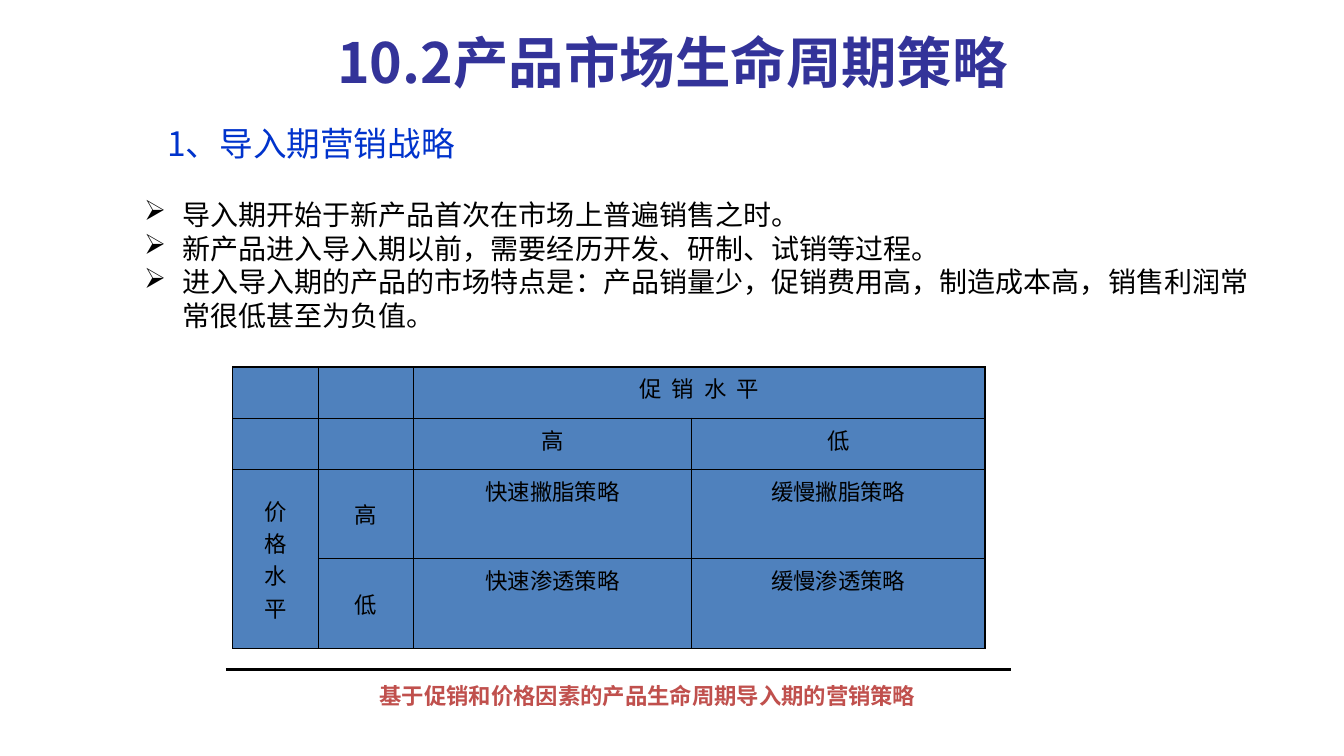
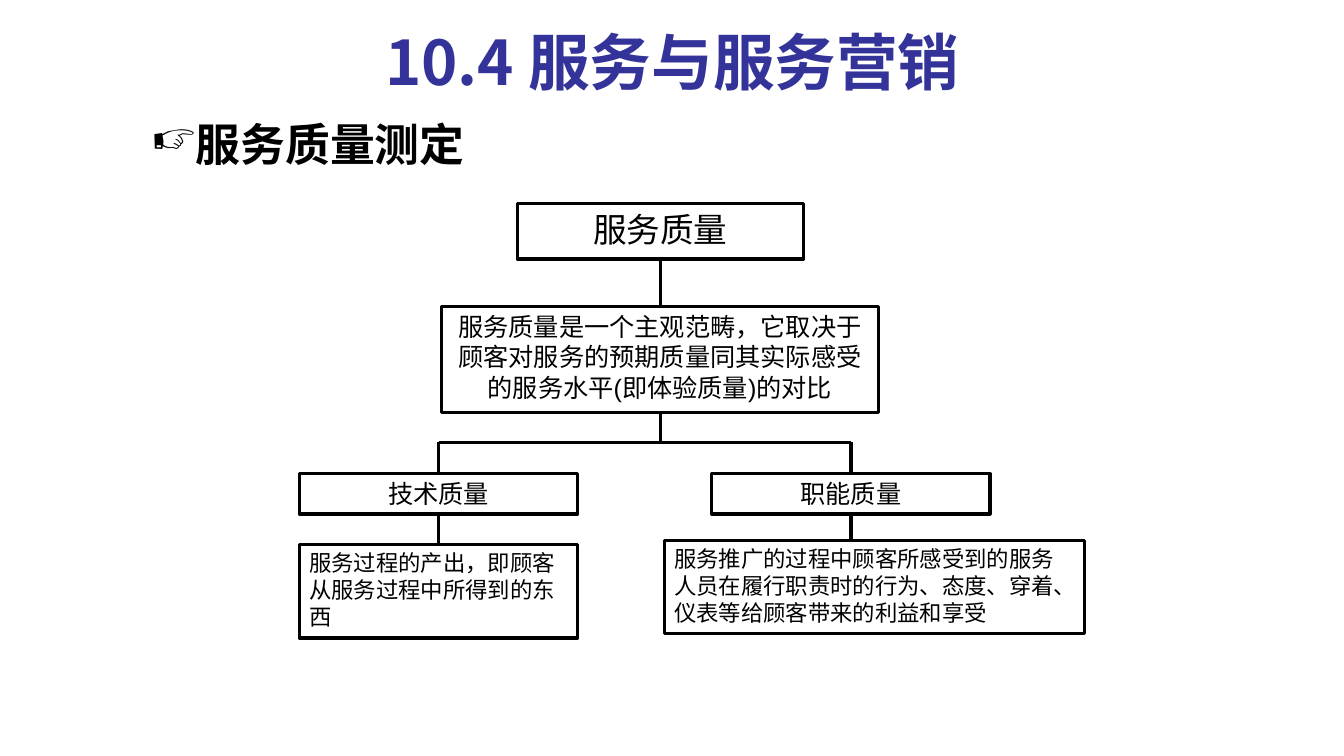
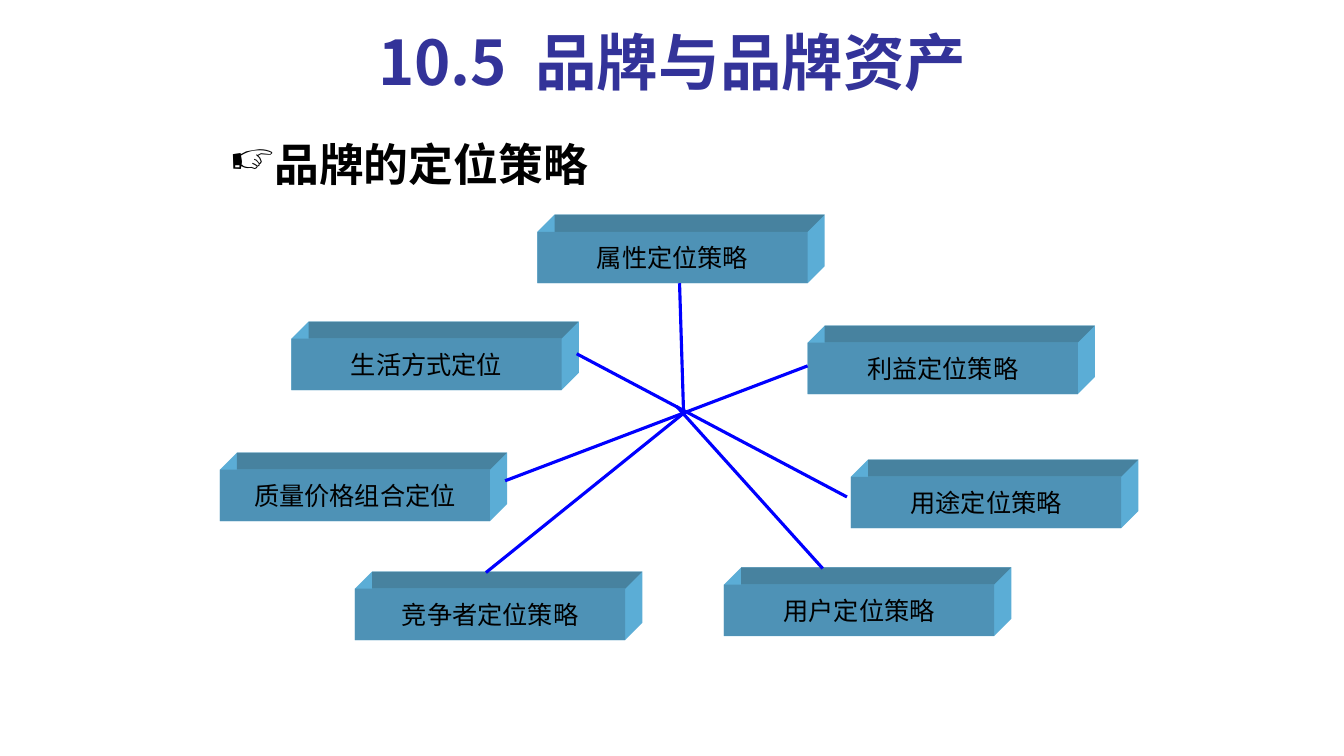
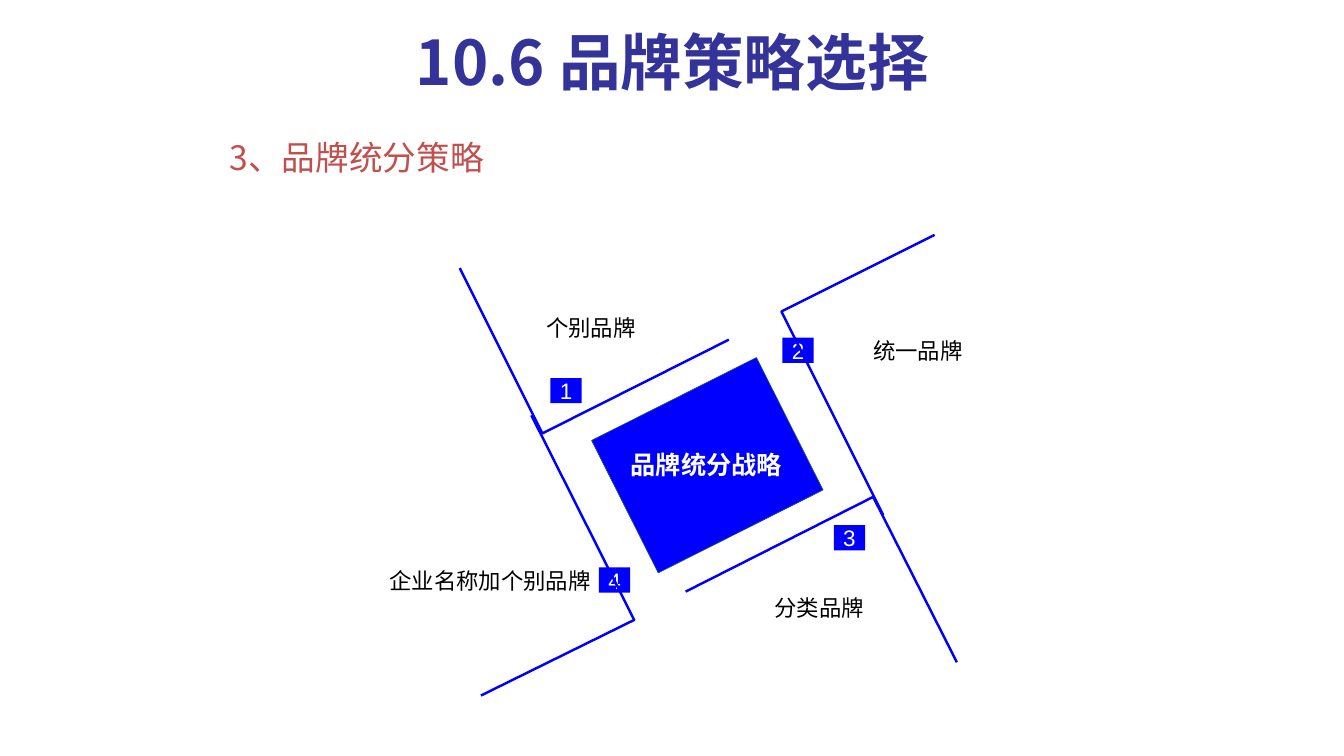
from dataclasses import dataclass

from lxml.etree import SubElement
from pptx import Presentation
from pptx.dml.color import RGBColor
from pptx.enum.shapes import MSO_CONNECTOR as Connector, MSO_SHAPE as Preset
from pptx.enum.text import MSO_ANCHOR as Anchor, PP_ALIGN as Align
from pptx.oxml.ns import qn
from pptx.util import Pt

PX = 9144  # EMU per px, 100 px to the inch


@dataclass(frozen=True)
class Theme:
    title: str = "333399"
    ink: str = "000000"
    white: str = "FFFFFF"
    heading_blue: str = "0033CC"
    accent: str = "C0504D"
    cell: str = "4F81BD"
    blue: str = "0000FF"
    square_edge: str = "1F497D"
    block_front: str = "4E92B6"
    block_top: str = "47829F"
    block_side: str = "5BADD6"
    title_font: str = "Noto Sans CJK JP"
    body_font: str = "Noto Sans CJK SC"
    latin_font: str = "Arial"
    title_size: float = 44
    long_title_size: float = 39.6
    section_size: int = 32
    heading_size: int = 24
    body_size: int = 20
    box_size: int = 18
    small_size: int = 16


THEME = Theme()


def rgb(code):
    return RGBColor.from_string(code)


def px(*lengths):
    return [length * PX for length in lengths]


def write(frame, text, *, size, color=THEME.ink, font=THEME.body_font, bold=False,
          align=Align.CENTER, anchor=Anchor.TOP, wrap=True, inset=None,
          leading=1.2, tracking=0, bullet=None, hanging=38):
    """Fill a frame with one paragraph, or one for each item of a list."""
    frame.word_wrap = wrap
    frame.vertical_anchor = anchor
    if inset is not None:
        frame.margin_left = frame.margin_right = inset * PX
        frame.margin_top = frame.margin_bottom = inset * PX
    lines = [text] if isinstance(text, str) else text
    for number, line in enumerate(lines):
        paragraph = frame.add_paragraph() if number else frame.paragraphs[0]
        paragraph.alignment = align
        if leading:
            paragraph.line_spacing = Pt(round(size * leading, 1))
        if bullet:
            props = paragraph._p.get_or_add_pPr()
            props.set("marL", str(hanging * PX))
            props.set("indent", str(-hanging * PX))
            SubElement(props, qn("a:buChar")).set("char", bullet)
        run = paragraph.add_run()
        run.text = line
        run.font.size = Pt(size)
        run.font.bold = bold
        run.font.color.rgb = rgb(color)
        run.font.name = font
        props = run._r.get_or_add_rPr()
        east_asian = THEME.body_font if font == THEME.latin_font else font
        SubElement(props, qn("a:ea")).set("typeface", east_asian)
        if tracking:
            props.set("spc", str(round(tracking * 100)))


def paint(shape, fill=None, line=None, weight=1):
    shape.shadow.inherit = False
    if fill:
        shape.fill.solid()
        shape.fill.fore_color.rgb = rgb(fill)
    else:
        shape.fill.background()
    if line:
        shape.line.color.rgb = rgb(line)
        shape.line.width = Pt(weight)
    else:
        shape.line.fill.background()


def border(cell, color, weight):
    props = cell._tc.get_or_add_tcPr()
    for position, side in enumerate(("lnL", "lnR", "lnT", "lnB")):
        edge = props.makeelement(qn(f"a:{side}"), {"w": str(Pt(weight))})
        SubElement(SubElement(edge, qn("a:solidFill")), qn("a:srgbClr")).set("val", color)
        props.insert(position, edge)


class Deck:
    """Holds the presentation, the theme and the slide being drawn."""

    def __init__(self, theme):
        self.theme = theme
        self.show = Presentation()
        self.show.slide_width, self.show.slide_height = px(1333, 750)
        self.slide = None

    def new_slide(self, title, size=None):
        self.slide = self.show.slides.add_slide(self.show.slide_layouts[5])
        holder = self.slide.shapes.title
        holder.left, holder.top, holder.width, holder.height = px(67, 13, 1200, 95)
        write(holder.text_frame, title, size=size or self.theme.title_size,
              color=self.theme.title, font=self.theme.title_font, bold=True,
              anchor=Anchor.MIDDLE, leading=None)

    def text(self, at, content, **style):
        holder = self.slide.shapes.add_textbox(*px(*at))
        write(holder.text_frame, content, **style)

    def heading(self, left, top, content, color):
        self.text((left, top, 875, 55), content, size=self.theme.heading_size,
                  color=color, align=Align.LEFT)

    def section(self, left, top, content):
        self.text((left, top, 875, 63), content, size=self.theme.section_size,
                  bold=True, align=Align.LEFT, bullet="☞")

    def box(self, at, content=None, fill=None, line=None, weight=1, rotation=0, **style):
        shape = self.slide.shapes.add_shape(Preset.RECTANGLE, *px(*at))
        paint(shape, fill, line, weight)
        shape.rotation = rotation
        if content:
            write(shape.text_frame, content, **style)

    def line(self, start, end, color, weight=2.25):
        link = self.slide.shapes.add_connector(Connector.STRAIGHT, *px(*start, *end))
        link.line.color.rgb = rgb(color)
        link.line.width = Pt(weight)
        SubElement(link._element.spPr, qn("a:effectLst"))

    def outline(self, points, closed=False, **look):
        builder = self.slide.shapes.build_freeform(*points[0], scale=PX)
        builder.add_line_segments(points[1:], close=closed)
        paint(builder.convert_to_shape(), **look)

    def block(self, left, top, content, width=268, height=51, depth=17):
        """Draw a labelled bar with depth towards the upper right."""
        theme = self.theme
        right, bottom = left + width, top + height
        back_left, back_right, back_top = left + depth, right + depth, top - depth
        self.outline([(left, top), (back_left, back_top), (back_right, back_top),
                      (back_right, bottom - depth), (right, bottom), (left, bottom)],
                     closed=True, fill=theme.block_side)
        self.outline([(back_left, back_top), (back_right, back_top),
                      (right, top), (back_left, top)],
                     closed=True, fill=theme.block_top)
        self.box((left, top, width, height), content, fill=theme.block_front,
                 size=theme.box_size, anchor=Anchor.MIDDLE, wrap=False)

    def table(self, at, widths, heights, cells, merges):
        """Cells map (row, column) to (text, format)."""
        frame = self.slide.shapes.add_table(len(heights), len(widths), *px(*at))
        grid = frame.table
        for column, width in zip(grid.columns, widths):
            column.width = width * PX
        for row, height in zip(grid.rows, heights):
            row.height = height * PX
        for cell in grid.iter_cells():
            cell.fill.solid()
            cell.fill.fore_color.rgb = rgb(self.theme.cell)
            border(cell, self.theme.ink, 1)
        for first, last in merges:
            grid.cell(*first).merge(grid.cell(*last))
        for (row, column), (content, style) in cells.items():
            cell = grid.cell(row, column)
            style = dict(style)
            cell.vertical_anchor = style.pop("anchor", Anchor.TOP)
            write(cell.text_frame, content, size=self.theme.small_size,
                  leading=None, anchor=None, **style)


def introduction_stage(deck):
    theme = deck.theme
    deck.new_slide("10.2产品市场生命周期策略", theme.long_title_size)
    deck.heading(156, 117, "1、导入期营销战略", theme.heading_blue)
    deck.text((133, 191, 1141, 145), [
        "导入期开始于新产品首次在市场上普遍销售之时。",
        "新产品进入导入期以前，需要经历开发、研制、试销等过程。",
        "进入导入期的产品的市场特点是：产品销量少，促销费用高，制造成本高，"
        "销售利润常常很低甚至为负值。",
    ], size=theme.body_size, align=Align.LEFT, bullet="➢")
    middle = {"anchor": Anchor.MIDDLE}
    deck.table((231, 364, 746, 279), (85, 94, 276, 291), (51, 51, 88, 89), {
        (0, 2): ("促 销 水 平", {"tracking": 1.8}),
        (1, 2): ("高", {}),
        (1, 3): ("低", {}),
        (2, 0): (list("价格水平"), middle),
        (2, 1): ("高", middle),
        (2, 2): ("快速撇脂策略", {}),
        (2, 3): ("缓慢撇脂策略", {}),
        (3, 1): ("低", middle),
        (3, 2): ("快速渗透策略", {}),
        (3, 3): ("缓慢渗透策略", {}),
    }, merges=[((0, 2), (0, 3)), ((2, 0), (3, 0))])
    deck.text((308, 672, 669, 37), "基于促销和价格因素的产品生命周期导入期的营销策略",
              size=theme.small_size, color=theme.accent, font=theme.latin_font, bold=True)
    deck.line((224, 664), (1003, 664), theme.ink)


def service_quality(deck):
    theme = deck.theme
    deck.new_slide("10.4 服务与服务营销")
    deck.section(140, 111, "服务质量测定")
    center, technical, functional, fork = 655, 435, 844, 439
    for at, content, size, align in (
        ((513, 202, 284, 55), "服务质量", theme.heading_size, Align.CENTER),
        ((438, 304, 433, 105),
         "服务质量是一个主观范畴，它取决于顾客对服务的预期质量同其实际感受的服务水平"
         "(即体验质量)的对比", theme.box_size, Align.CENTER),
        ((297, 470, 276, 40), "技术质量", theme.box_size, Align.CENTER),
        ((706, 470, 276, 40), "职能质量", theme.box_size, Align.CENTER),
        ((297, 540, 276, 93), "服务过程的产出，即顾客从服务过程中所得到的东西",
         theme.small_size, Align.LEFT),
        ((659, 536, 417, 93),
         "服务推广的过程中顾客所感受到的服务人员在履行职责时的行为、态度、穿着、"
         "仪表等给顾客带来的利益和享受", theme.small_size, Align.LEFT),
    ):
        deck.box(at, content, line=theme.ink, weight=2.25, size=size,
                 font=theme.latin_font, align=align)
    for start, end in (
        ((center, 257), (center, 304)),
        ((center, 409), (center, fork)),
        ((technical, fork), (functional, fork)),
        ((technical, fork), (technical, 470)),
        ((functional, fork), (functional, 470)),
        ((technical, 510), (technical, 540)),
        ((functional, 510), (functional, 536)),
    ):
        deck.line(start, end, theme.ink)


def brand_positioning(deck):
    deck.new_slide("10.5  品牌与品牌资产")
    deck.section(218, 131, "品牌的定位策略")
    for left, top, strategy in (
        (533, 230, "属性定位策略"),
        (801, 340, "利益定位策略"),
        (844, 473, "用途定位策略"),
        (718, 580, "用户定位策略"),
        (352, 584, "竞争者定位策略"),
        (218, 466, "质量价格组合定位"),
        (289, 336, "生活方式定位"),
    ):
        deck.block(left, top, strategy)
    hub = (678, 410)
    for start, end in (
        ((674, 281), hub),
        ((572, 351), (840, 493)),
        (hub, (482, 568)),
        ((671, 403), (816, 564)),
        ((801, 363), (501, 477)),
    ):
        deck.line(start, end, deck.theme.blue)


def brand_structure(deck):
    theme = deck.theme
    deck.new_slide("10.6 品牌策略选择")
    deck.heading(218, 131, "3、品牌统分策略", theme.accent)
    label = {"font": theme.latin_font, "anchor": Anchor.MIDDLE, "wrap": False, "inset": 0}
    badges = ((546, 375), (776, 335), (827, 521), (594, 563))
    for number, (left, top) in enumerate(badges, 1):
        deck.box((left, top, 31, 25), str(number), fill=theme.blue,
                 size=theme.small_size, color=theme.white, **label)
    for left, top, width, strategy in (
        (541, 311, 90, "个别品牌"),
        (866, 334, 89, "统一品牌"),
        (768, 589, 89, "分类品牌"),
        (385, 562, 202, "企业名称加个别品牌"),
    ):
        deck.text((left, top, width, 27), strategy, size=theme.small_size, **label)
    deck.box((610, 388, 183, 147), fill=theme.blue, line=theme.square_edge,
             weight=0.5, rotation=153.3)
    for bracket in (
        [(949, 657), (866, 493), (680, 587)],
        [(477, 690), (629, 615), (527, 412)],
        [(723, 337), (538, 430), (456, 266)],
        [(927, 233), (775, 309), (876, 511)],
    ):
        deck.outline(bracket, line=theme.blue, weight=1.75)
    deck.text((625, 446, 151, 30), "品牌统分战略", size=theme.box_size,
              color=theme.white, bold=True, **label)


def main():
    deck = Deck(THEME)
    for draw in (introduction_stage, service_quality, brand_positioning, brand_structure):
        draw(deck)
    deck.show.save("out.pptx")


if __name__ == "__main__":
    main()
